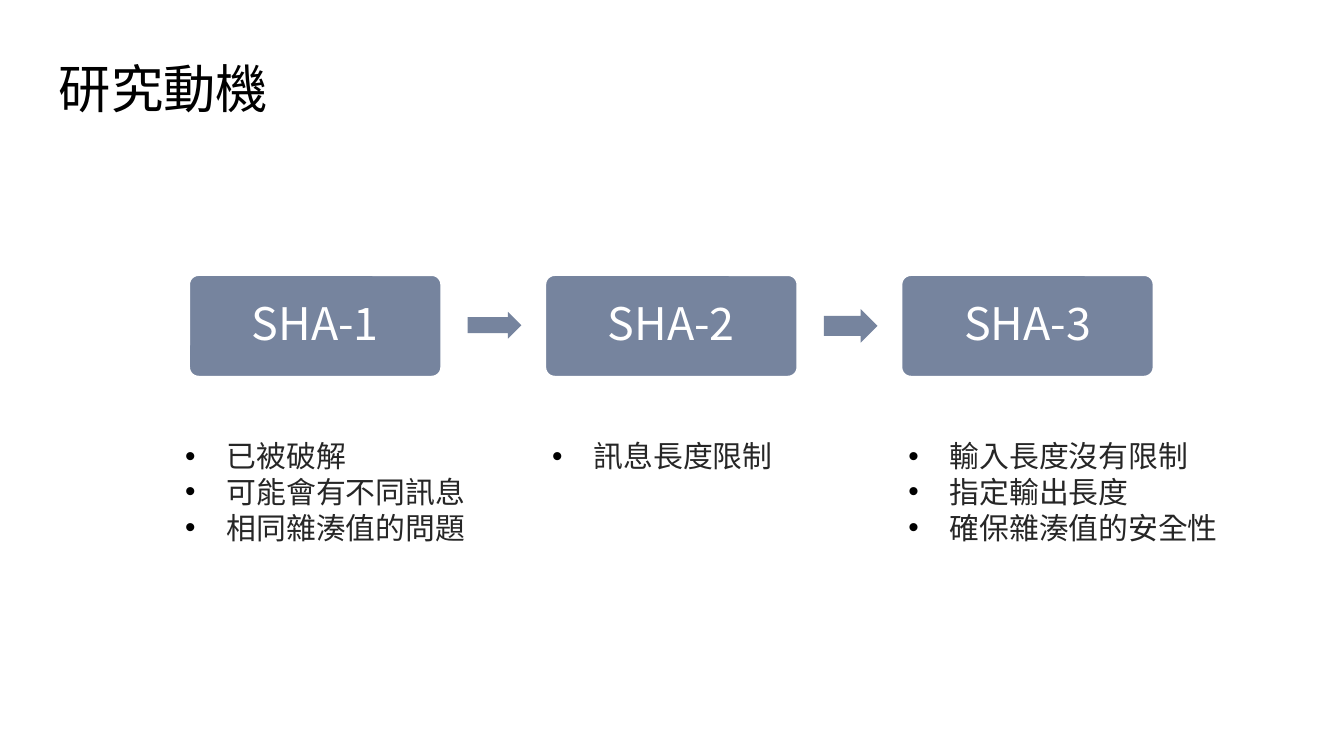
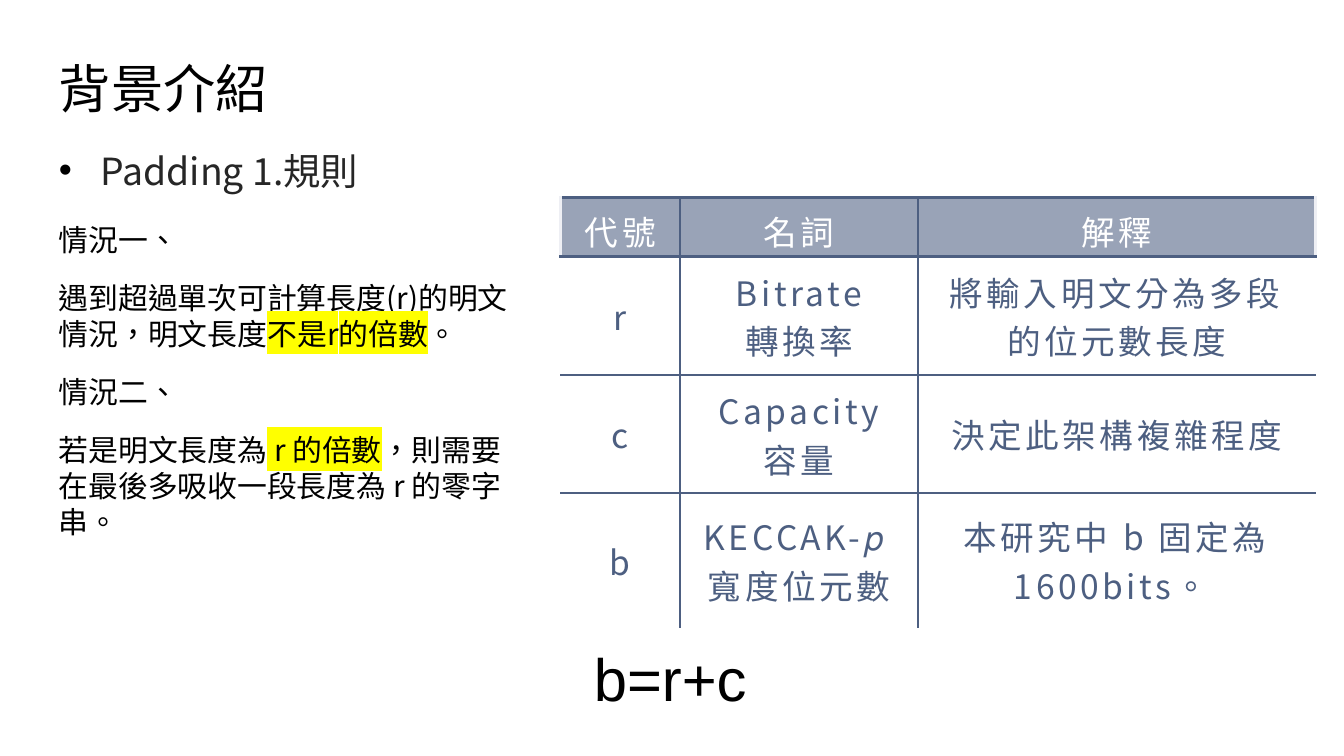
from dataclasses import dataclass

from lxml import etree
from pptx import Presentation
from pptx.dml.color import RGBColor
from pptx.enum import shapes, text
from pptx.oxml.ns import qn
from pptx.util import Emu, Pt

PX = 9144  # EMU in one px, 100 px to the inch
SHAPE, ALIGN = shapes.MSO_SHAPE, text.PP_ALIGN
MIDDLE = text.MSO_ANCHOR.MIDDLE


@dataclass(frozen=True)
class Theme:
    # Colours
    ink: str = "000000"
    soft: str = "262626"
    white: str = "FFFFFF"
    slate: str = "76849E"
    navy: str = "4D5F81"
    pale: str = "EEEFF4"
    mark: str = "FFFF00"
    # Fonts, type sizes and line spacing
    font: str = "Noto Sans CJK SC"
    plain: str = "Arial"
    lang: str = "zh-TW"
    title: int = 28
    sum: int = 32
    card: int = 24
    lead: int = 20
    cell: int = 18
    body: int = 16
    snug: float = 0.9


T = Theme()


def px(n):
    return Emu(n * PX)


def sub(parent, tag, **attrs):
    return etree.SubElement(parent, qn(tag), attrs)


def tint(parent, color):
    return sub(sub(parent, "a:solidFill"), "a:srgbClr", val=color)


def write(frame, words, size=T.body, color=T.ink, font=T.font, align=None,
          line=None, before=None, track=None, bullet=False, pad=None,
          anchor=None, wrap=True):
    """Fill a text frame: one paragraph a line, marked words between bars."""
    frame.word_wrap = wrap
    if anchor is not None:
        frame.vertical_anchor = anchor
    if pad is not None:
        frame.margin_left = frame.margin_right = px(pad)
        frame.margin_top = frame.margin_bottom = px(pad)
    for i, row in enumerate(words.split("\n")):
        para = frame.add_paragraph() if i else frame.paragraphs[0]
        para.alignment = align
        if line:
            para.line_spacing = line
        if before:
            para.space_before = Pt(before)
        if bullet:
            dent(para)
        for j, part in enumerate(row.split("|")):
            run = para.add_run()
            run.text = part
            face = run.font
            face.size, face.name = Pt(size), font
            face.color.rgb = RGBColor.from_string(color)
            props = run._r.get_or_add_rPr()
            props.set("lang", T.lang)
            if track:
                props.set("spc", str(track))
            if j % 2:
                glow = etree.Element(qn("a:highlight"))
                sub(glow, "a:srgbClr", val=T.mark)
                props.find(qn("a:solidFill")).addnext(glow)
            sub(props, "a:ea", typeface=font)


def dent(para):
    """Give a paragraph a hanging bullet."""
    props = para._p.get_or_add_pPr()
    props.set("marL", str(31 * PX))
    props.set("indent", str(-31 * PX))
    sub(sub(props, "a:buClr"), "a:srgbClr", val=T.ink)
    sub(props, "a:buFont", typeface=T.plain)
    sub(props, "a:buChar", char="•")


class Deck:
    def __init__(self, theme):
        self.theme = theme
        self.file = Presentation()
        self.file.slide_width = px(1000)
        self.file.slide_height = px(1000) * 9 // 16

    def page(self, title):
        self.slide = self.file.slides.add_slide(self.file.slide_layouts[6])
        self.label(34, 32, 932, 63, title, size=self.theme.title, pad=10)

    def label(self, x, y, w, h, words, **style):
        box = self.slide.shapes.add_textbox(px(x), px(y), px(w), px(h))
        write(box.text_frame, words, **style)

    def list(self, x, y, w, h, words, size=T.body):
        self.label(x, y, w, h, words, size=size, color=self.theme.soft,
                   align=ALIGN.JUSTIFY, bullet=True)

    def block(self, kind, x, y, w, h, *adjust):
        shape = self.slide.shapes.add_shape(kind, px(x), px(y), px(w), px(h))
        shape.shadow.inherit = False
        shape.fill.solid()
        shape.fill.fore_color.rgb = RGBColor.from_string(self.theme.slate)
        shape.line.fill.background()
        for i, value in enumerate(adjust):
            shape.adjustments[i] = value
        return shape

    def card(self, x, y, w, h, words):
        shape = self.block(SHAPE.ROUNDED_RECTANGLE, x, y, w, h, 0.1)
        shape.line.color.rgb = RGBColor.from_string(self.theme.white)
        shape.line.width = Pt(2)
        write(shape.text_frame, words, size=self.theme.card,
              color=self.theme.white, align=ALIGN.CENTER, pad=10,
              line=self.theme.snug, anchor=MIDDLE)

    def arrow(self, x, y, w, h):
        self.block(SHAPE.RIGHT_ARROW, x, y, w, h, 0.6, 0.5)

    def table(self, x, y, cols, rows, data):
        grid = self.slide.shapes.add_table(
            len(rows), len(cols), px(x), px(y), px(sum(cols)), px(sum(rows))).table
        grid.first_row = grid.horz_banding = False
        for col, wide in zip(grid.columns, cols):
            col.width = px(wide)
        for r, (high, line) in enumerate(zip(rows, data)):
            grid.rows[r].height = px(high)
            for c, words in enumerate(line):
                # Outer sides are pale on the head row and open below it
                side = None if r else self.theme.pale
                navy = self.theme.navy
                edges = {"a:lnL": navy if c else side,
                         "a:lnR": navy if c < len(cols) - 1 else side,
                         "a:lnT": navy,
                         "a:lnB": navy if r < len(rows) - 1 else None}
                self.cell(grid.cell(r, c), words, not r, edges)

    def cell(self, cell, words, head, edges):
        theme = self.theme
        write(cell.text_frame, words, size=theme.cell, align=ALIGN.CENTER,
              color=theme.white if head else theme.navy, track=190)
        cell.vertical_anchor = MIDDLE
        cell.margin_left = cell.margin_right = px(14)
        cell.margin_top = cell.margin_bottom = px(7)
        props = cell._tc.get_or_add_tcPr()
        for tag, color in edges.items():
            edge = sub(props, tag, w=str(Pt(1.5)))
            if color:
                tint(edge, color)
            else:
                sub(edge, "a:noFill")
        fill = tint(props, theme.slate if head else theme.white)
        if head:
            sub(fill, "a:alpha", val="74000")


def motive(deck):
    deck.page("研究動機")
    # Hash steps, left to right
    left, pitch = 140, 265
    for i in range(3):
        deck.card(left + i * pitch, 204, 189, 77, f"SHA-{i + 1}")
    for i, high in enumerate((20, 25)):
        deck.arrow(left + 208 + i * pitch, 242 - high // 2, 40, high)
    # Notes under each step
    notes = [
        (128, 254, 91, "已被破解\n可能會有不同訊息\n相同雜湊值的問題"),
        (401, 198, 37, "訊息長度限制"),
        (666, 254, 118, "輸入長度沒有限制\n指定輸出長度\n確保雜湊值的安全性"),
    ]
    for x, w, h, words in notes:
        deck.list(x, 321, w, h, words)


def basis(deck):
    deck.page("背景介紹")
    # Padding rule and its two cases
    deck.list(34, 105, 254, 44, "Padding 1.規則", size=T.lead)
    deck.label(34, 160, 355, 249,
               "情況一、\n"
               "遇到超過單次可計算長度(r)的明文情況，明文長度|不是r的倍數|。\n"
               "情況二、\n"
               "若是明文長度為| r 的倍數|，則需要在最後多吸收一段長度為 r 的零字串。",
               before=12)
    # Terms
    deck.table(417, 147, (89, 177, 296), (42, 88, 88, 100), [
        ("代號", "名詞", "解釋"),
        ("r", "Bitrate\n轉換率", "將輸入明文分為多段的位元數長度"),
        ("c", "Capacity\n容量", "決定此架構複雜程度"),
        ("b", "KECCAK-𝑝 \n寬度位元數", "本研究中 b 固定為 1600bits。 "),
    ])
    # Sum of the two lengths
    deck.label(432, 473, 135, 64, "b=r+c", size=T.sum, font=T.plain, wrap=False)


def main():
    deck = Deck(T)
    motive(deck)
    basis(deck)
    deck.file.save("out.pptx")


if __name__ == "__main__":
    main()
